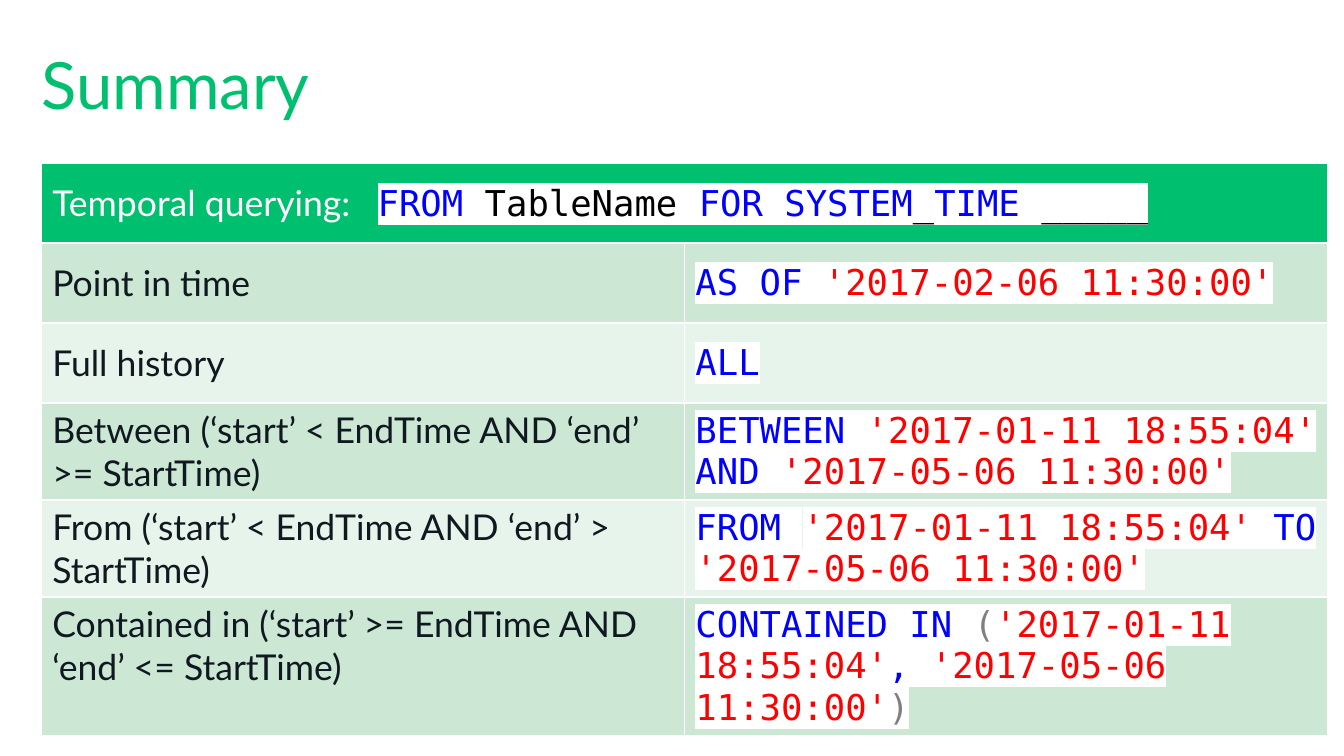
from dataclasses import dataclass

from lxml import etree
from pptx import Presentation
from pptx.dml.color import RGBColor
from pptx.enum.text import MSO_ANCHOR as Anchor
from pptx.oxml.ns import qn
from pptx.util import Inches, Pt

# Content: each cell is a list of (style, text) runs
TITLE = "Summary"
START, END = "'2017-01-11 18:55:04'", "'2017-05-06 11:30:00'"
HEADER = [
    ("heading", "Temporal querying:   "), ("keyword", "FROM"), ("name", " TableName "),
    ("keyword", "FOR"), ("name", " "), ("keyword", "SYSTEM"), ("name", "_"),
    ("keyword", "TIME"), ("name", " _____"),
]
QUERIES = [
    ("Point in time",
     [("keyword", "AS OF "), ("string", "'2017-02-06 11:30:00'")]),
    ("Full history",
     [("keyword", "ALL")]),
    ("Between (‘start’ < EndTime AND ‘end’ >= StartTime)",
     [("keyword", "BETWEEN "), ("string", START), ("keyword", " AND "), ("string", END)]),
    ("From (‘start’ < EndTime AND ‘end’ > StartTime)",
     [("keyword", "FROM "), ("string", START), ("keyword", " TO "), ("string", END)]),
    ("Contained in (‘start’ >= EndTime AND ‘end’ <= StartTime)",
     [("keyword", "CONTAINED IN "), ("bracket", "("), ("string", START),
      ("keyword", ", "), ("string", END), ("bracket", ")")]),
]
ROW_HEIGHTS = [0.75, 0.75, 0.75, 0.91, 0.91, 1.3]
TABLE_LEFT, TABLE_TOP, COLUMN_WIDTH = 0.39, 1.53, 6.03


@dataclass(frozen=True)
class Theme:
    green: str = "00BF6F"
    bands: tuple = ("CCE8D5", "E7F4EB")
    white: str = "FFFFFF"
    ink: str = "101820"
    text_font: str = "Lato"
    code_font: str = "DejaVu Sans Mono"
    title_size: int = 44
    table_size: int = 24
    border_width: int = 1


THEME = Theme()
CODE_COLORS = {"keyword": "0000FF", "name": "000000", "string": "FF0000", "bracket": "808080"}
STYLES = {
    "title": dict(color=THEME.green, size=THEME.title_size),
    "heading": dict(color=THEME.white),
    "label": dict(color=THEME.ink),
    **{kind: dict(color=color, font=THEME.code_font, highlight=THEME.white)
       for kind, color in CODE_COLORS.items()},
}


def add_color(parent, tag, color):
    element = etree.SubElement(parent, qn(tag))
    etree.SubElement(element, qn("a:srgbClr")).set("val", color)
    return element


def add_text(paragraph, text, *, color, size=THEME.table_size, font=THEME.text_font,
             highlight=None):
    run = paragraph.add_run()
    run.text = text
    run.font.size = Pt(size)
    run.font.bold = False
    run.font.name = font
    run.font.color.rgb = RGBColor.from_string(color)
    if highlight:
        properties = run.font._element
        marker = add_color(properties, "a:highlight", highlight)
        properties.find(qn("a:solidFill")).addnext(marker)


def fill_cell(cell, runs, color, anchor=Anchor.MIDDLE):
    cell.vertical_anchor = anchor
    cell.fill.solid()
    cell.fill.fore_color.rgb = RGBColor.from_string(color)
    for style, text in runs:
        add_text(cell.text_frame.paragraphs[0], text, **STYLES[style])


def set_borders(cell):
    properties = cell._tc.get_or_add_tcPr()
    for index, side in enumerate(("a:lnL", "a:lnR", "a:lnT", "a:lnB")):
        line = etree.Element(qn(side), w=str(Pt(THEME.border_width)))
        add_color(line, "a:solidFill", THEME.white)
        properties.insert(index, line)


def add_title(slide):
    box = slide.shapes.add_textbox(Inches(0.39), Inches(0.39), Inches(11.81), Inches(0.79))
    frame = box.text_frame
    frame.word_wrap = True
    frame.vertical_anchor = Anchor.MIDDLE
    frame.margin_left = frame.margin_right = frame.margin_top = frame.margin_bottom = 0
    add_text(frame.paragraphs[0], TITLE, **STYLES["title"])


def add_query_table(slide):
    table = slide.shapes.add_table(
        len(ROW_HEIGHTS), 2, Inches(TABLE_LEFT), Inches(TABLE_TOP),
        Inches(2 * COLUMN_WIDTH), Inches(sum(ROW_HEIGHTS))).table
    table.first_row = table.horz_banding = False
    for column in table.columns:
        column.width = Inches(COLUMN_WIDTH)
    for row, height in zip(table.rows, ROW_HEIGHTS):
        row.height = Inches(height)

    # Header across both columns
    table.cell(0, 0).merge(table.cell(0, 1))
    fill_cell(table.cell(0, 0), HEADER, THEME.green)

    # Banded rows; the last label sits level with the first line of its code
    for index, (label, code) in enumerate(QUERIES):
        band = THEME.bands[index % 2]
        anchor = Anchor.TOP if index == len(QUERIES) - 1 else Anchor.MIDDLE
        fill_cell(table.cell(index + 1, 0), [("label", label)], band, anchor)
        fill_cell(table.cell(index + 1, 1), code, band)
    for cell in table.iter_cells():
        set_borders(cell)


def main():
    presentation = Presentation()
    presentation.slide_width, presentation.slide_height = Inches(12.6), Inches(7.09)
    slide = presentation.slides.add_slide(presentation.slide_layouts[6])
    add_title(slide)
    add_query_table(slide)
    presentation.save("out.pptx")


if __name__ == "__main__":
    main()
